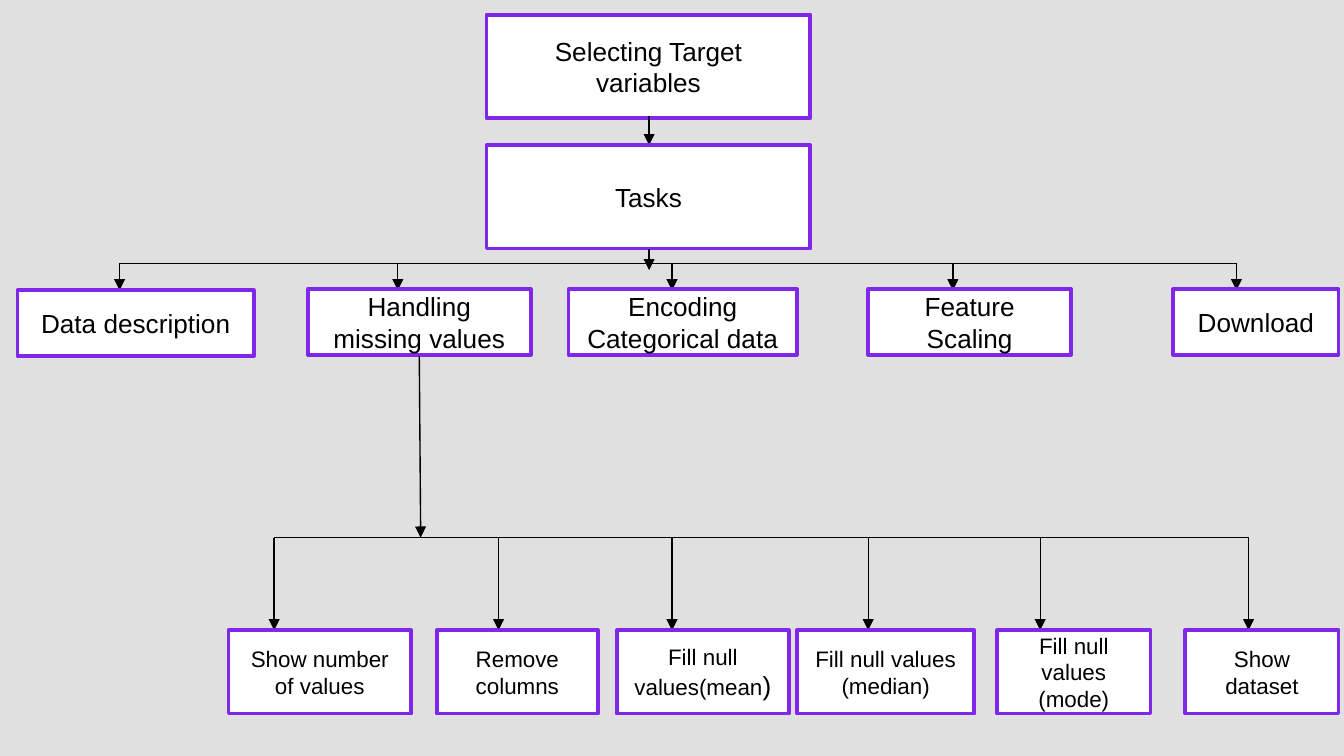
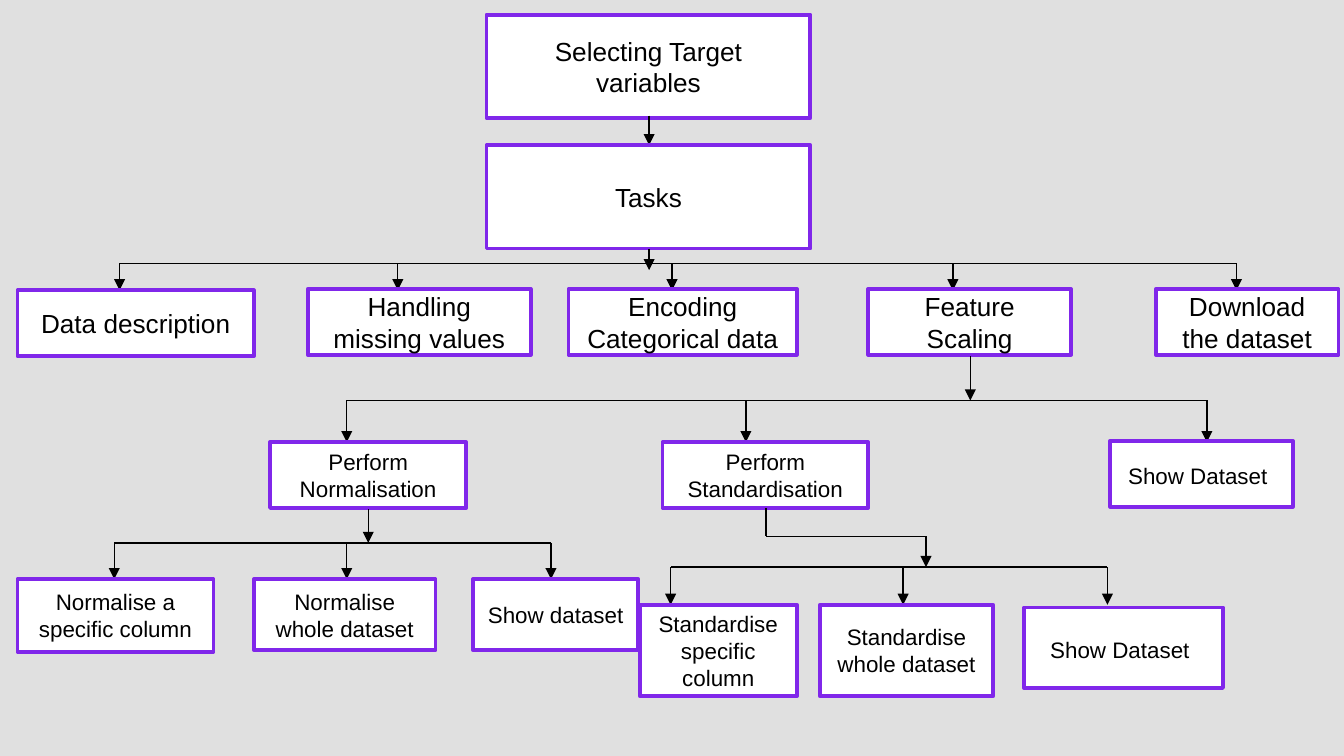
"""Build two flowchart slides describing dataset preprocessing tasks."""
import collections

import pptx
import pptx.dml.color
import pptx.enum.shapes
import pptx.enum.text
import pptx.oxml
import pptx.util
from pptx.util import Inches, Pt

BACKGROUND = pptx.dml.color.RGBColor(0xE0, 0xE0, 0xE0)
PURPLE = pptx.dml.color.RGBColor(0x80, 0x27, 0xEA)
WHITE = pptx.dml.color.RGBColor(0xFF, 0xFF, 0xFF)
BLACK = pptx.dml.color.RGBColor(0x00, 0x00, 0x00)
FONT = "Arial"
LARGE, SMALL = 14, 12

Box = collections.namedtuple("Box", "text left top width height large_end", defaults=("",))
Branch = collections.namedtuple("Branch", "stem bar drops drop_end size boxes")

TRUNK = [
    (Box("Selecting Target variables", 3.62, 0.11, 2.41, 0.77), (0.86, 1.08)),
    (Box("Tasks", 3.62, 1.08, 2.41, 0.77), (1.85, 2.01)),
]
TRUNK_X = 4.83
TASK_BAR = 1.96
TASK_DROPS = [0.89, 2.96, 5, 7.09, 9.2]
TASK_BOXES = [
    Box("Data description", 0.13, 2.16, 1.76, 0.49),
    Box("Handling missing values", 2.29, 2.15, 1.66, 0.49),
    Box("Encoding Categorical data", 4.23, 2.15, 1.7, 0.49),
    Box("Feature Scaling", 6.46, 2.15, 1.51, 0.49),
]

MISSING_VALUES = Branch(
    [(3.12, 2.65), (3.13, 4)], 4, [2.04, 3.71, 5, 6.46, 7.74, 9.29], 4.69, SMALL,
    [
        Box(text, left, 4.69, width, 0.62, large_end)
        for text, left, width, large_end in [
            ("Show number of values", 1.7, 1.36, ""),
            ("Remove columns", 3.25, 1.2, ""),
            ("Fill null values(mean", 4.59, 1.28, ")"),
            ("Fill null values\n(median)", 5.93, 1.32, ""),
            ("Fill null values\n(mode)", 7.42, 1.14, ""),
            ("Show dataset", 8.82, 1.14, ""),
        ]
    ],
)
SCALING = Branch(
    [(7.22, 2.65), (7.22, 2.98)], 2.98, [2.58, 5.55, 8.98], 3.29, SMALL,
    [
        Box("Perform Normalisation", 2.01, 3.29, 1.46, 0.49),
        Box("Perform Standardisation", 4.93, 3.29, 1.53, 0.49),
        Box("Show Dataset", 8.26, 3.28, 1.36, 0.49, " "),
    ],
)
NORMALISATION = Branch(
    [(2.74, 3.79), (2.74, 4.04)], 4.04, [0.85, 2.58, 4.1], 4.31, SMALL,
    [
        Box("Normalise a specific column", 0.13, 4.31, 1.46, 0.54),
        Box("Normalise whole dataset", 1.89, 4.31, 1.35, 0.53),
        Box("Show dataset", 3.52, 4.31, 1.23, 0.53),
    ],
)
STANDARDISATION = Branch(
    [(5.7, 3.78), (5.7, 3.99), (6.89, 3.99), (6.89, 4.22)], 4.22,
    [4.99, 6.72, 8.24], 4.5, SMALL,
    [
        Box("Standardise specific column", 4.76, 4.5, 1.17, 0.68),
        Box("Standardise whole dataset", 6.1, 4.5, 1.29, 0.68),
        Box("Show Dataset", 7.62, 4.52, 1.48, 0.6, " "),
    ],
)
SLIDES = [
    (Box("Download", 8.73, 2.15, 1.23, 0.49), [MISSING_VALUES]),
    (Box("Download the dataset", 8.6, 2.15, 1.36, 0.49),
     [SCALING, NORMALISATION, STANDARDISATION]),
]


def format_run(run, size):
    run.font.name = FONT
    run.font.size = Pt(size)
    run.font.color.rgb = BLACK


def add_box(slide, box, size):
    shape = slide.shapes.add_shape(
        pptx.enum.shapes.MSO_SHAPE.RECTANGLE,
        Inches(box.left), Inches(box.top), Inches(box.width), Inches(box.height),
    )
    shape.shadow.inherit = False
    shape.fill.solid()
    shape.fill.fore_color.rgb = WHITE
    shape.line.color.rgb = PURPLE
    shape.line.width = Pt(2)
    text_frame = shape.text_frame
    text_frame.word_wrap = True
    text_frame.vertical_anchor = pptx.enum.text.MSO_ANCHOR.MIDDLE
    text_frame.text = box.text
    for paragraph in text_frame.paragraphs:
        paragraph.alignment = pptx.enum.text.PP_ALIGN.CENTER
        for run in paragraph.runs:
            format_run(run, size)
    if box.large_end:
        run = text_frame.paragraphs[-1].add_run()
        run.text = box.large_end
        format_run(run, LARGE)


def add_line(slide, start, end, arrow=False):
    connector = slide.shapes.add_connector(
        pptx.enum.shapes.MSO_CONNECTOR.STRAIGHT,
        *(Inches(value) for value in (*start, *end)),
    )
    connector.line.color.rgb = BLACK
    connector.line.width = Pt(0.75)
    properties = connector.element.spPr
    if arrow:
        tail = pptx.oxml.xmlchemy.OxmlElement("a:tailEnd")
        tail.set("type", "triangle")
        properties.get_or_add_ln().append(tail)
    properties.append(pptx.oxml.xmlchemy.OxmlElement("a:effectLst"))


def add_branch(slide, branch):
    last = len(branch.stem) - 1
    for index, (start, end) in enumerate(zip(branch.stem, branch.stem[1:]), 1):
        add_line(slide, start, end, arrow=index == last)
    stem_x = branch.stem[-1][0]
    for bar_end in (branch.drops[0], branch.drops[-1]):
        add_line(slide, (stem_x, branch.bar), (bar_end, branch.bar))
    for drop in branch.drops:
        add_line(slide, (drop, branch.bar), (drop, branch.drop_end), arrow=True)
    for box in branch.boxes:
        add_box(slide, box, branch.size)


def add_flowchart(presentation, download_box, branches):
    slide = presentation.slides.add_slide(presentation.slide_layouts[6])
    slide.background.fill.solid()
    slide.background.fill.fore_color.rgb = BACKGROUND
    (first_box, first_arrow), (tasks_box, tasks_arrow) = TRUNK
    add_box(slide, first_box, LARGE)
    add_line(slide, *((TRUNK_X, y) for y in first_arrow), arrow=True)
    add_box(slide, tasks_box, LARGE)
    tasks = Branch([(TRUNK_X, y) for y in tasks_arrow], TASK_BAR, TASK_DROPS, 2.16,
                   LARGE, TASK_BOXES + [download_box])
    for branch in [tasks, *branches]:
        add_branch(slide, branch)


def main():
    presentation = pptx.Presentation()
    presentation.slide_width = Inches(10)
    presentation.slide_height = presentation.slide_width * 9 // 16
    for download_box, branches in SLIDES:
        add_flowchart(presentation, download_box, branches)
    presentation.save("out.pptx")


if __name__ == "__main__":
    main()
